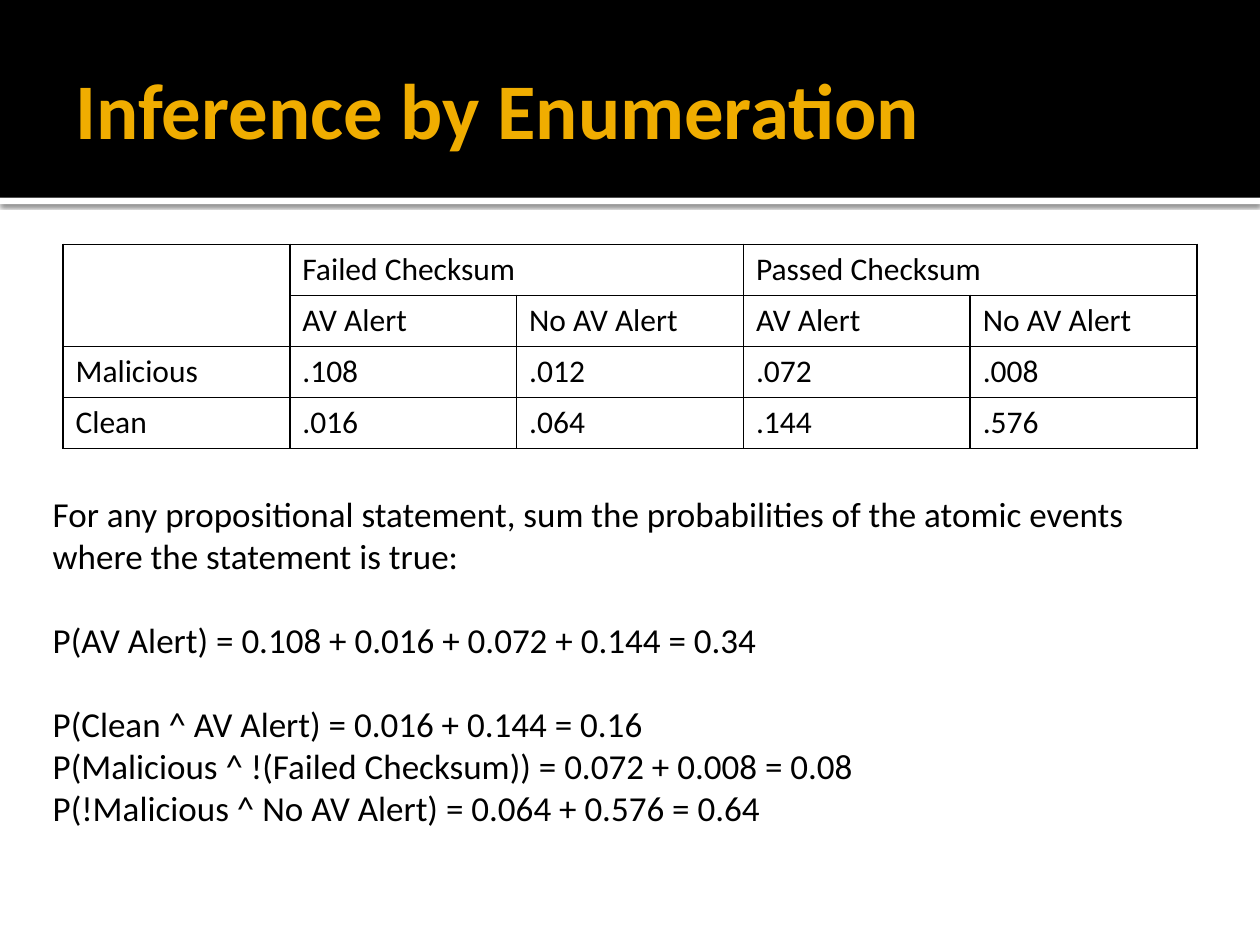
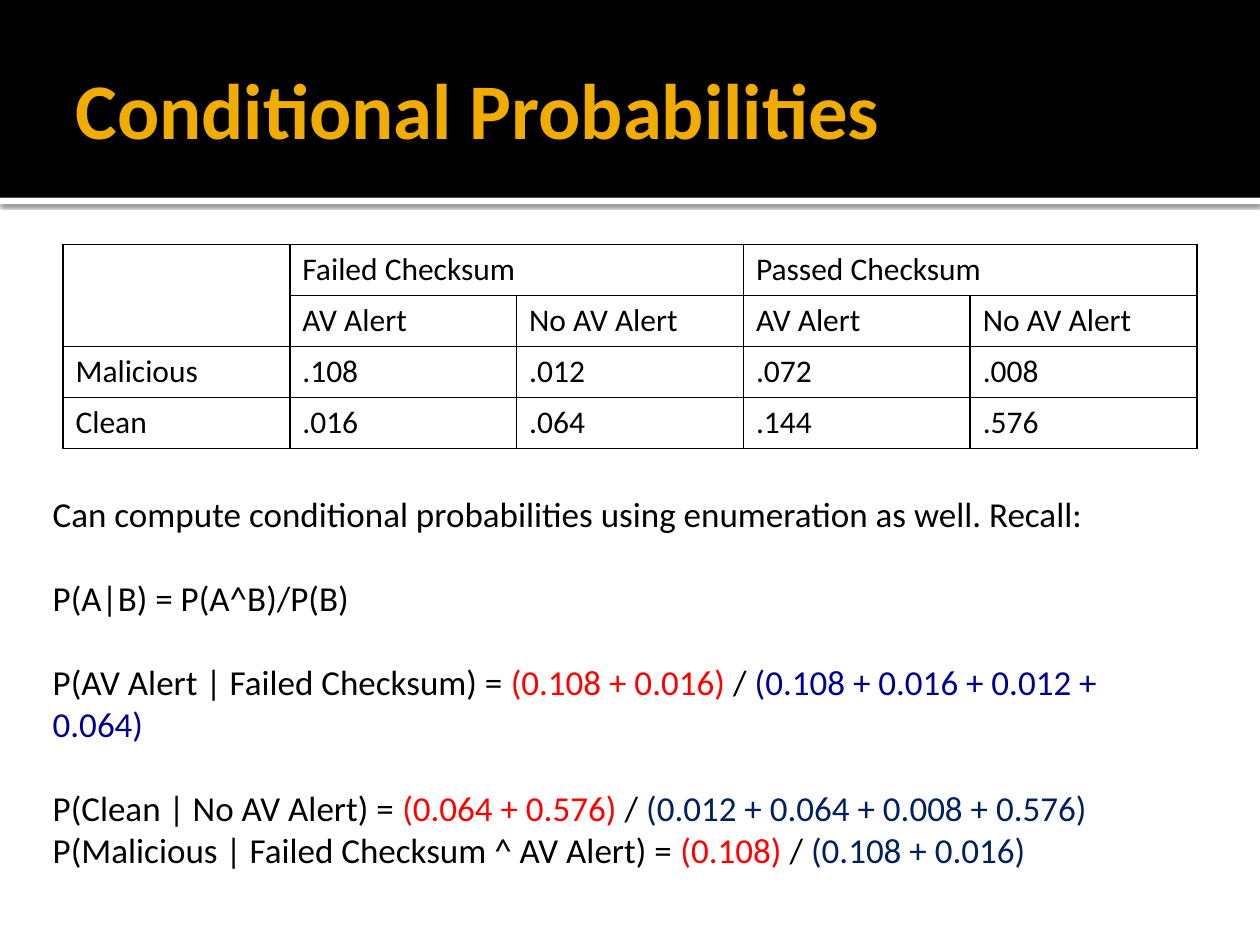
from lxml import etree
from pptx import Presentation
from pptx.dml.color import RGBColor
from pptx.enum.shapes import MSO_SHAPE
from pptx.enum.text import MSO_ANCHOR
from pptx.oxml import parse_xml
from pptx.oxml.ns import nsdecls, qn
from pptx.util import Inches, Pt

FONT = "Calibri"
COLORS = {
    "black": "000000",
    "white": "FFFFFF",
    "title": "F0AD00",
    "red": "FF0000",
    "blue": "000090",
    "navy": "002060",
}

# Joint distribution shown on both slides
ROWS = [
    ["", "Failed Checksum", "", "Passed Checksum", ""],
    ["", "AV Alert", "No AV Alert", "AV Alert", "No AV Alert"],
    ["Malicious", ".108", ".012", ".072", ".008"],
    ["Clean", ".016", ".064", ".144", ".576"],
]
MERGES = [((0, 0), (1, 0)), ((0, 1), (0, 2)), ((0, 3), (0, 4))]

# Each slide: title, then paragraphs as (gap before in points, runs)
GAP = 24
SLIDES = [
    ("Inference by Enumeration", [
        (0, [("For any propositional statement, sum the probabilities of the atomic events", "black")]),
        (0, [("where the statement is true:", "black")]),
        (GAP, [("P(AV Alert) = 0.108 + 0.016 + 0.072 + 0.144 = 0.34", "black")]),
        (GAP, [("P(Clean ^ AV Alert) = 0.016 + 0.144 = 0.16", "black")]),
        (0, [("P(Malicious ^ !(Failed Checksum)) = 0.072 + 0.008 = 0.08", "black")]),
        (0, [("P(!Malicious ^ No AV Alert) = 0.064 + 0.576 = 0.64", "black")]),
    ]),
    ("Conditional Probabilities", [
        (0, [("Can compute conditional probabilities using enumeration as well. Recall:", "black")]),
        (GAP, [("P(A|B) = P(A^B)/P(B)", "black")]),
        (GAP, [("P(AV Alert | Failed Checksum) = ", "black"), ("(0.108 + 0.016) ", "red"),
               ("/ ", "black"), ("(0.108 + 0.016 + 0.012 + 0.064)", "blue")]),
        (GAP, [("P(Clean | No AV Alert) = ", "black"), ("(0.064 + 0.576) ", "red"),
               ("/ ", "black"), ("(0.012 + 0.064 + 0.008 + 0.576)", "navy")]),
        (0, [("P(Malicious | Failed Checksum ^ AV Alert) = ", "black"), ("(0.108) ", "red"),
             ("/ ", "black"), ("(0.108 + 0.016)", "navy")]),
    ]),
]


def add_run(p, text, size, color, bold=False):
    r = p.add_run()
    r.text = text
    r.font.name = FONT
    r.font.size = Pt(size)
    r.font.bold = bold
    r.font.color.rgb = RGBColor.from_string(COLORS[color])


def add_band(s, top, height, color):
    sp = s.shapes.add_shape(MSO_SHAPE.RECTANGLE, 0, Inches(top), prs.slide_width, Inches(height))
    sp.shadow.inherit = False
    sp.fill.solid()
    sp.fill.fore_color.rgb = RGBColor.from_string(COLORS[color])
    sp.line.fill.background()
    return sp


prs = Presentation()
prs.slide_width, prs.slide_height = Inches(10), Inches(7.5)

for title, paragraphs in SLIDES:
    s = prs.slides.add_slide(prs.slide_layouts[6])
    s.background.fill.solid()
    s.background.fill.fore_color.rgb = RGBColor.from_string(COLORS["white"])

    # White strip with a soft shadow, under the black title band
    strip = add_band(s, 1.57, 0.05, "white")
    effects = strip._element.spPr.find(qn("a:effectLst"))
    effects.append(parse_xml(
        f'<a:outerShdw {nsdecls("a")} blurRad="{Pt(2.5)}" dist="{Pt(0.8)}" dir="5400000" '
        f'algn="tl" rotWithShape="0"><a:srgbClr val="{COLORS["black"]}">'
        '<a:alpha val="60000"/></a:srgbClr></a:outerShdw>'))
    add_band(s, 0, 1.57, "black")

    # Title
    tf = s.shapes.add_textbox(Inches(0.5), Inches(0.17), Inches(9), Inches(1.37)).text_frame
    tf.word_wrap = True
    tf.vertical_anchor = MSO_ANCHOR.MIDDLE
    tf.margin_right = Inches(0.05)
    add_run(tf.paragraphs[0], title, 45, "title", bold=True)

    # Probability table
    table = s.shapes.add_table(len(ROWS), len(ROWS[0]), Inches(0.5), Inches(1.94),
                               Inches(9), Inches(1.62)).table
    table.first_row = table.horz_banding = False
    for i, row in enumerate(ROWS):
        for j, text in enumerate(row):
            cell = table.cell(i, j)
            tcPr = cell._tc.get_or_add_tcPr()
            for side in ("lnL", "lnR", "lnT", "lnB"):
                ln = etree.SubElement(tcPr, qn(f"a:{side}"), w=str(Pt(1)))
                fill = etree.SubElement(ln, qn("a:solidFill"))
                etree.SubElement(fill, qn("a:srgbClr"), val=COLORS["black"])
            cell.fill.solid()
            cell.fill.fore_color.rgb = RGBColor.from_string(COLORS["white"])
            if text:
                add_run(cell.text_frame.paragraphs[0], text, 18, "black")
    for first, last in MERGES:
        table.cell(*first).merge(table.cell(*last))

    # Worked sums
    tf = s.shapes.add_textbox(Inches(0.32), Inches(3.86), Inches(9.2), Inches(2.79)).text_frame
    tf.word_wrap = True
    for n, (gap, runs) in enumerate(paragraphs):
        p = tf.add_paragraph() if n else tf.paragraphs[0]
        p.space_before = Pt(gap)
        for text, color in runs:
            add_run(p, text, 20, color)

prs.save("out.pptx")
